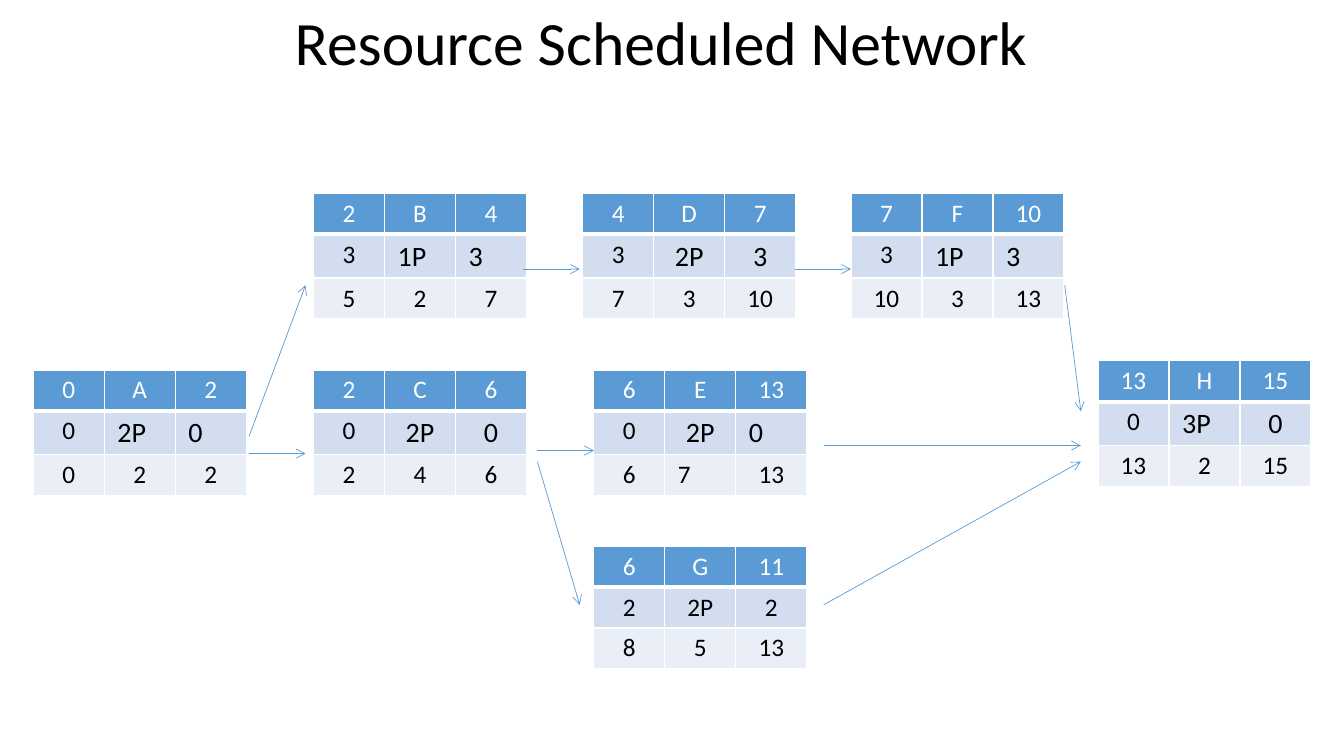
"""Builds the Resource Scheduled Network slide."""
from dataclasses import dataclass

from lxml import etree
from pptx import Presentation
from pptx.dml.color import RGBColor
from pptx.enum.shapes import MSO_CONNECTOR
from pptx.enum.text import MSO_ANCHOR, PP_ALIGN
from pptx.oxml.ns import qn
from pptx.util import Inches, Pt

STRAIGHT = MSO_CONNECTOR.STRAIGHT
MIDDLE = MSO_ANCHOR.MIDDLE
LEFT, CENTER = PP_ALIGN.LEFT, PP_ALIGN.CENTER


@dataclass(frozen=True)
class Theme:
    font: str = "Calibri"
    title_size: int = 44
    cell_size: int = 18
    resource_size: int = 20
    text: str = "000000"
    light: str = "FFFFFF"
    accent: str = "5B9BD5"
    fills: tuple = ("5B9BD5", "D2DEEF", "EAEFF7")
    border: float = 1
    header_border: float = 3
    arrow: float = 0.5


class Deck:
    def __init__(self, slide, theme):
        self.s, self.t = slide, theme

    def style(self, p, size, color, align):
        p.alignment = align
        f = p.font
        f.name, f.size, f.bold = self.t.font, Pt(size), False
        f.color.rgb = RGBColor.from_string(color)

    def title(self, text, x, y, w, h):
        tf = self.s.shapes.add_textbox(Inches(x), Inches(y), Inches(w), Inches(h)).text_frame
        tf.word_wrap, tf.vertical_anchor = True, MIDDLE
        p = tf.paragraphs[0]
        p.text, p.line_spacing = text, 0.9
        self.style(p, self.t.title_size, self.t.text, CENTER)

    def borders(self, cell, header):
        tcPr = cell._tc.get_or_add_tcPr()
        for side in "LRTB":
            width = self.t.header_border if header and side == "B" else self.t.border
            ln = etree.SubElement(tcPr, qn(f"a:ln{side}"), w=str(Pt(width)))
            fill = etree.SubElement(ln, qn("a:solidFill"))
            etree.SubElement(fill, qn("a:srgbClr"), val=self.t.light)

    def activity(self, x, y, rows, left_cells, resource_size, col=0.704, row=0.405):
        frame = self.s.shapes.add_table(3, 3, Inches(x), Inches(y), Inches(3 * col), Inches(3 * row))
        table = frame.table
        table.first_row = table.horz_banding = False
        for i in range(3):
            table.columns[i].width = Inches(col)
            table.rows[i].height = Inches(row)
        for r, values in enumerate(rows):
            for c, value in enumerate(values.split()):
                cell = table.cell(r, c)
                cell.margin_left = cell.margin_right = Inches(0.13)
                cell.margin_top = cell.margin_bottom = Inches(0.05)
                self.borders(cell, r == 0)
                cell.fill.solid()
                cell.fill.fore_color.rgb = RGBColor.from_string(self.t.fills[r])
                p = cell.text_frame.paragraphs[0]
                p.text = value
                size = resource_size if r == 1 and c > 0 else self.t.cell_size
                color = self.t.light if r == 0 else self.t.text
                self.style(p, size, color, LEFT if (r, c) in left_cells else CENTER)

    def arrow(self, x1, y1, x2, y2):
        line = self.s.shapes.add_connector(STRAIGHT, Inches(x1), Inches(y1), Inches(x2), Inches(y2))
        line.line.width = Pt(self.t.arrow)
        line.line.color.rgb = RGBColor.from_string(self.t.accent)
        etree.SubElement(line.line._get_or_add_ln(), qn("a:tailEnd"), type="arrow")
        etree.SubElement(line._element.spPr, qn("a:effectLst"))


TOP, MID, LOW = 1.92, 3.67, 5.42
RESOURCES_LEFT = ((1, 1), (1, 2))
BIG, SMALL = Theme.resource_size, Theme.cell_size
ACTIVITIES = [
    (0.33, MID, ("0 A 2", "0 2P 0", "0 2 2"), RESOURCES_LEFT, BIG),
    (3.11, MID, ("2 C 6", "0 2P 0", "2 4 6"), (), BIG),
    (3.11, TOP, ("2 B 4", "3 1P 3", "5 2 7"), RESOURCES_LEFT, BIG),
    (5.78, TOP, ("4 D 7", "3 2P 3", "7 3 10"), (), BIG),
    (5.89, MID, ("6 E 13", "0 2P 0", "6 7 13"), ((1, 2), (2, 1)), BIG),
    (8.44, TOP, ("7 F 10", "3 1P 3", "10 3 13"), RESOURCES_LEFT, BIG),
    (10.89, 3.58, ("13 H 15", "0 3P 0", "13 2 15"), ((1, 1),), BIG),
    (5.89, LOW, ("6 G 11", "2 2P 2", "8 5 13"), (), SMALL),
]
ARROWS = [
    (8.17, 4.42, 10.72, 4.42),
    (7.89, 2.67, 8.44, 2.67),
    (5.33, 4.47, 5.89, 4.47),
    (2.47, 4.5, 3.03, 4.5),
    (5.19, 2.67, 5.75, 2.67),
    (2.47, 4.33, 3.03, 2.83),
    (5.33, 4.58, 5.75, 6),
    (8.17, 6, 10.72, 4.58),
    (10.56, 2.83, 10.72, 4.08),
]

prs = Presentation()
prs.slide_width, prs.slide_height = Inches(13.33), Inches(7.5)
deck = Deck(prs.slides.add_slide(prs.slide_layouts[6]), Theme())
deck.title("Resource Scheduled Network", 0.56, -0.42, 12, 1.75)
for activity in ACTIVITIES:
    deck.activity(*activity)
for arrow in ARROWS:
    deck.arrow(*arrow)
prs.save("out.pptx")
